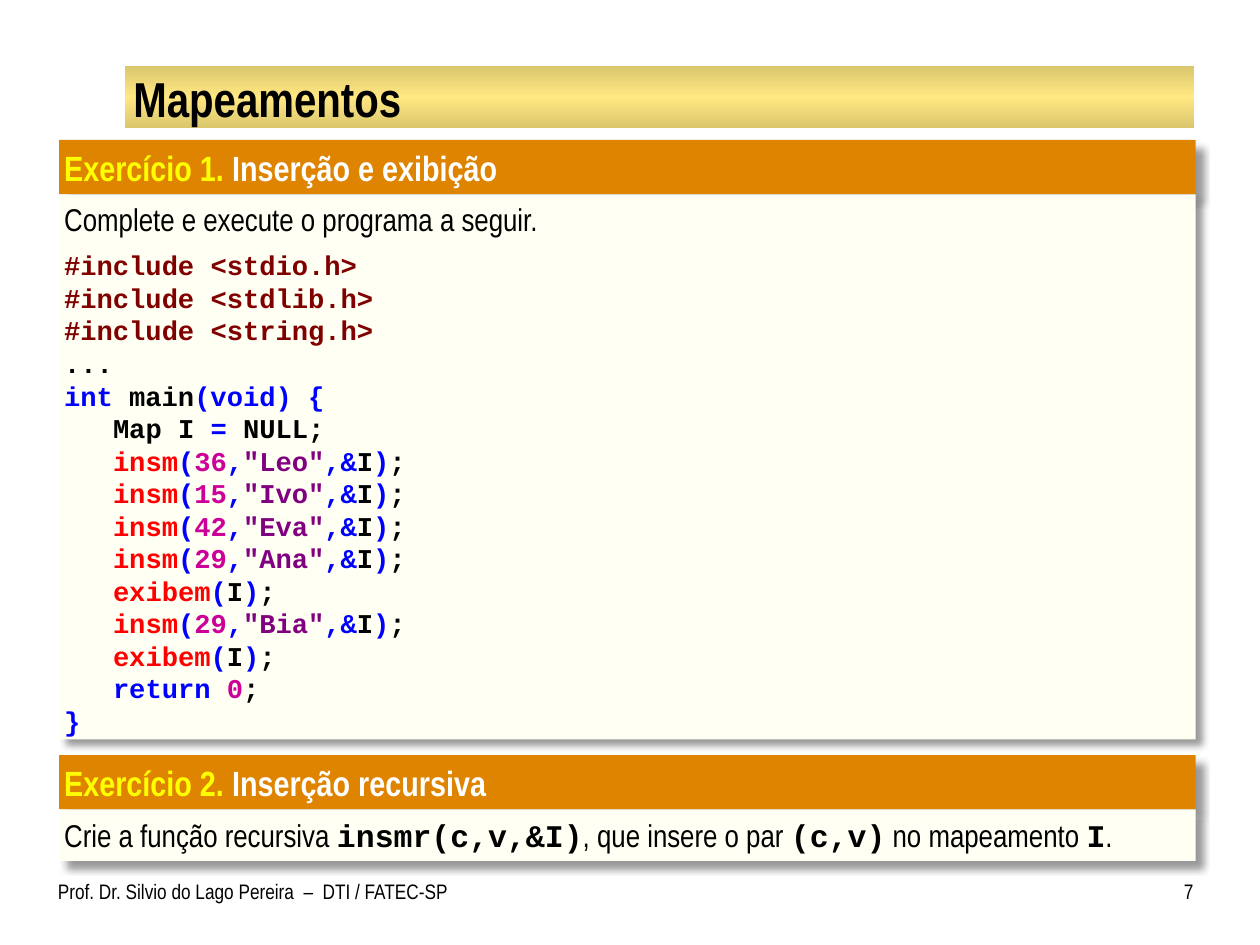
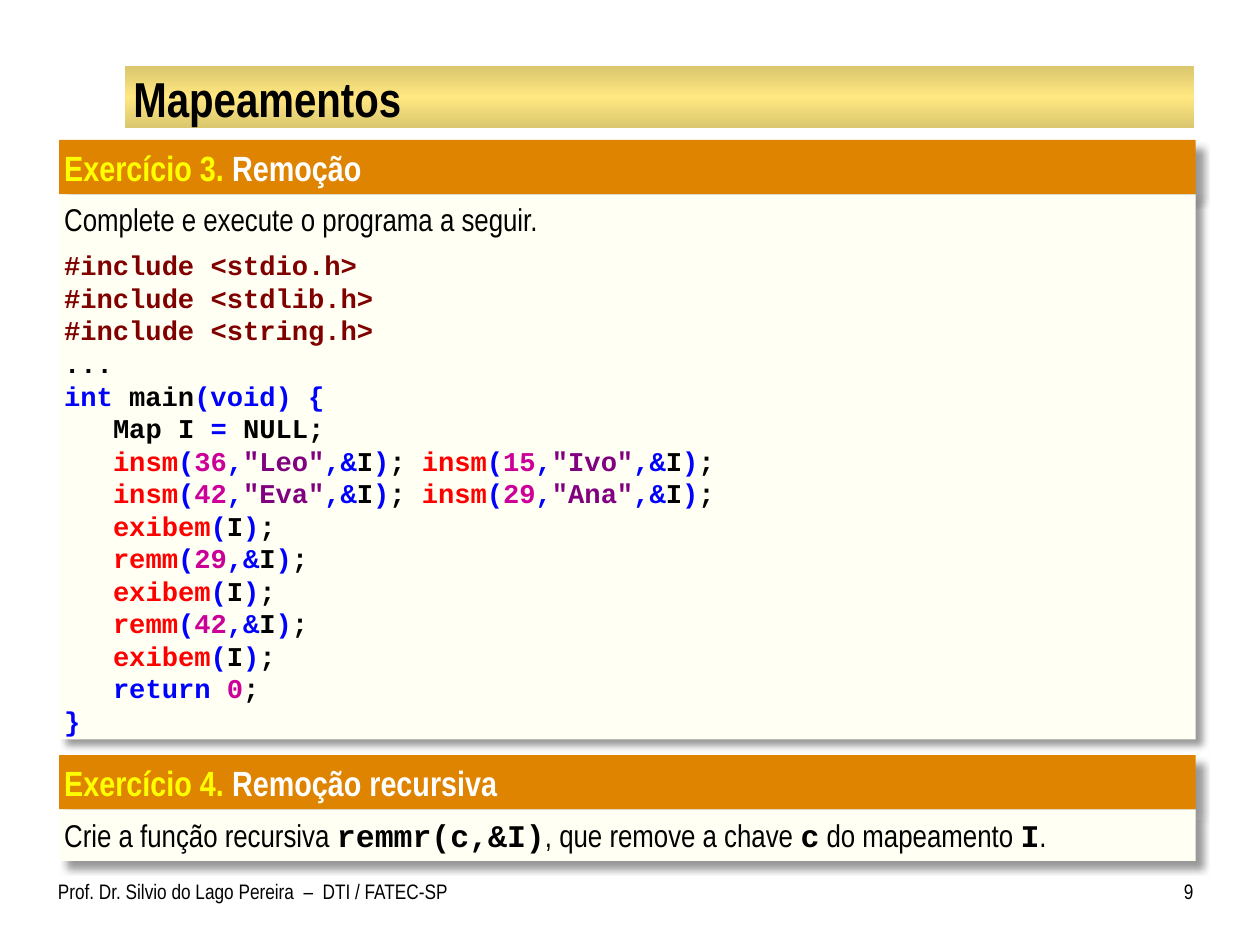
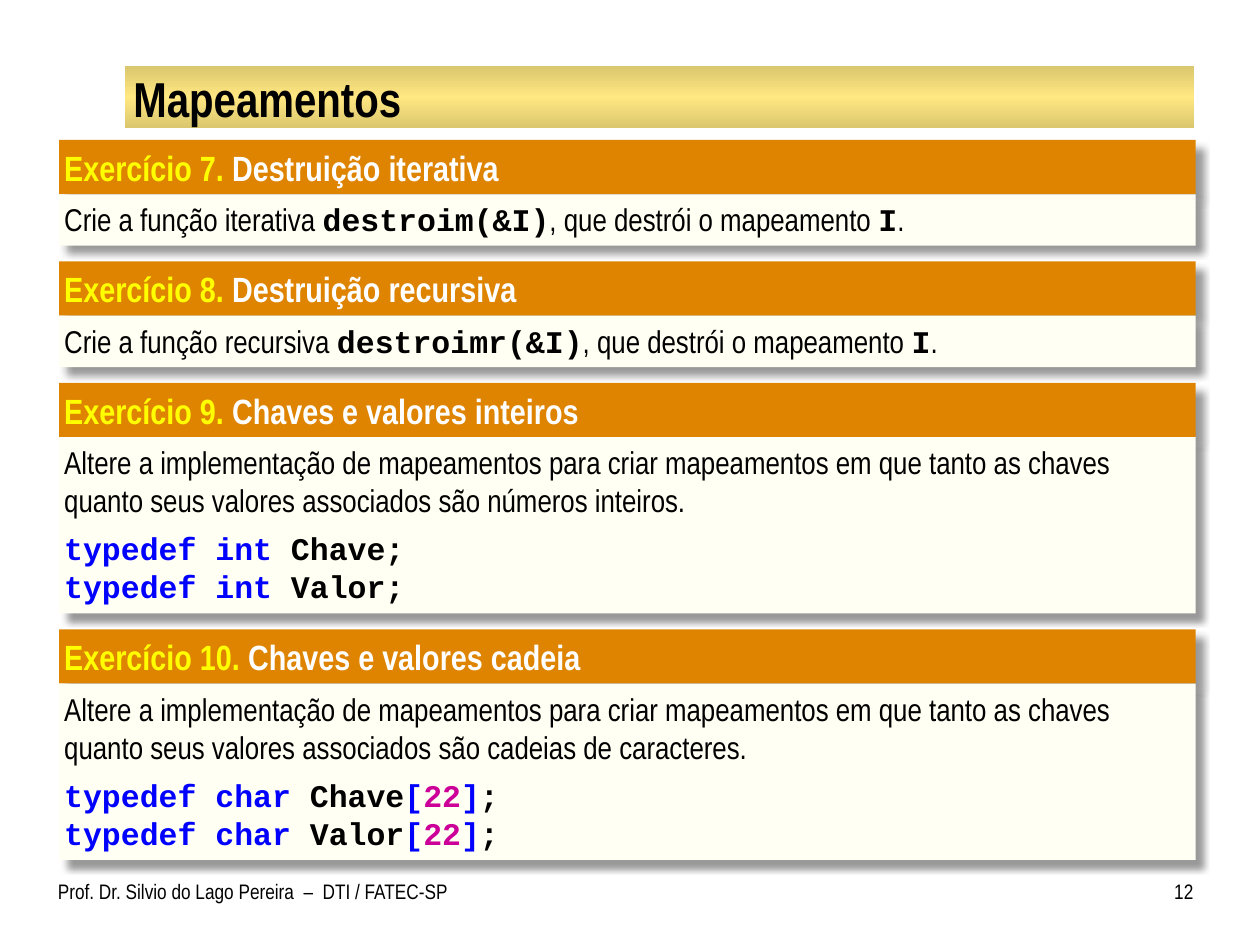
from itertools import groupby

from lxml.etree import SubElement
from pptx import Presentation
from pptx.dml.color import RGBColor
from pptx.enum.shapes import MSO_SHAPE as Shape
from pptx.enum.text import MSO_ANCHOR as Anchor, PP_ALIGN as Align
from pptx.oxml import parse_xml
from pptx.oxml.ns import nsdecls, qn
from pptx.util import Pt

COLORS = {
    "text": "000000",
    "band_edge": "DAC66E",
    "band_middle": "FFE781",
    "header": "DE8400",
    "body": "FFFFF3",
    "number": "FFFF00",
    "heading": "FFFFFF",
    "include": "800000",
    "keyword": "0000FF",
    "function": "FF0000",
    "digits": "CC0099",
    "string": "800080",
}
SANS = "Arial Narrow"
MONO = "Courier New"
KEYWORDS = {"int", "char", "void", "return", "typedef"}
FUNCTIONS = {"insm", "exibem", "remm"}
OPERATORS = "(){}[]=,&"

LEFT, TOP, WIDTH = 33.8, 80, 649.4
HEADER_HEIGHT, GAP = 31, 9
LINE_HEIGHT, TYPEDEF_HEIGHT, PROGRAM_HEIGHT = 29.4, 100.8, 311.5
PROSE_SIZE, PROGRAM_SIZE = 18, 15.5

RUN_PROGRAM = "Complete e execute o programa a seguir."
CHANGE_TYPES = (
    "Altere a implementação de mapeamentos para criar mapeamentos em que "
    "tanto as chaves quanto seus valores associados são "
)
PROGRAM_START = [
    "#include <stdio.h>",
    "#include <stdlib.h>",
    "#include <string.h>",
    "...",
    "int main(void) {",
    "   Map I = NULL;",
]
PROGRAM_END = ["   exibem(I);", "   return 0;", "}"]
INSERTION = PROGRAM_START + [
    '   insm(36,"Leo",&I);',
    '   insm(15,"Ivo",&I);',
    '   insm(42,"Eva",&I);',
    '   insm(29,"Ana",&I);',
    "   exibem(I);",
    '   insm(29,"Bia",&I);',
] + PROGRAM_END
REMOVAL = PROGRAM_START + [
    '   insm(36,"Leo",&I); insm(15,"Ivo",&I);',
    '   insm(42,"Eva",&I); insm(29,"Ana",&I);',
    "   exibem(I);",
    "   remm(29,&I);",
    "   exibem(I);",
    "   remm(42,&I);",
] + PROGRAM_END

SLIDES = [
    (7, [
        ("1", "Inserção e exibição", PROGRAM_HEIGHT, RUN_PROGRAM, INSERTION, PROGRAM_SIZE),
        ("2", "Inserção recursiva", LINE_HEIGHT,
         "Crie a função recursiva `insmr(c,v,&I)`, que insere o par `(c,v)` no mapeamento `I`."),
    ]),
    (9, [
        ("3", "Remoção", PROGRAM_HEIGHT, RUN_PROGRAM, REMOVAL, PROGRAM_SIZE),
        ("4", "Remoção recursiva", LINE_HEIGHT,
         "Crie a função recursiva `remmr(c,&I)`, que remove a chave `c` do mapeamento `I`."),
    ]),
    (12, [
        ("7", "Destruição iterativa", LINE_HEIGHT,
         "Crie a função iterativa `destroim(&I)`, que destrói o mapeamento `I`."),
        ("8", "Destruição recursiva", LINE_HEIGHT,
         "Crie a função recursiva `destroimr(&I)`, que destrói o mapeamento `I`."),
        ("9", "Chaves e valores inteiros", TYPEDEF_HEIGHT,
         CHANGE_TYPES + "números inteiros.",
         ["typedef int Chave;", "typedef int Valor;"]),
        ("10", "Chaves e valores cadeia", TYPEDEF_HEIGHT,
         CHANGE_TYPES + "cadeias de caracteres.",
         ["typedef char Chave[22];", "typedef char Valor[22];"]),
    ]),
]


def color(name):
    return RGBColor.from_string(COLORS[name])


def style(font, name, size, bold=False, tint="text"):
    font.name = name
    font.size = Pt(size)
    font.bold = bold
    font.color.rgb = color(tint)


def add_span(para, text, tint):
    span = para.add_run()
    span.text = text
    span.font.color.rgb = color(tint)


def set_frame(box, insets, anchor=Anchor.TOP):
    frame = box.text_frame
    frame.word_wrap = True
    frame.vertical_anchor = anchor
    frame.margin_left, frame.margin_top, frame.margin_right, frame.margin_bottom = map(Pt, insets)
    frame.paragraphs[0].alignment = Align.LEFT
    return frame


def add_rectangle(page, left, top, width, height):
    box = page.shapes.add_shape(Shape.RECTANGLE, Pt(left), Pt(top), Pt(width), Pt(height))
    box.shadow.inherit = False
    box.line.fill.background()
    return box


def add_band(page):
    band = add_rectangle(page, 71.3, 37.6, 611.3, 35.8)
    band.fill.gradient()
    band.fill.gradient_angle = 270
    stops = band._element.spPr.find(qn("a:gradFill")).find(qn("a:gsLst"))
    stops.clear()
    for position, name in ((0, "band_edge"), (50, "band_middle"), (100, "band_edge")):
        stop = SubElement(stops, qn("a:gs"), pos=str(position * 1000))
        SubElement(stop, qn("a:srgbClr"), val=COLORS[name])


def add_label(page, area, insets, text, size, bold=False, align=Align.LEFT, anchor=Anchor.TOP):
    box = page.shapes.add_textbox(*map(Pt, area))
    para = set_frame(box, insets, anchor).paragraphs[0]
    para.text = text
    para.alignment = align
    style(para.font, SANS, size, bold)


def add_panel(page, top, height, tint, right_inset):
    panel = add_rectangle(page, LEFT, top, WIDTH, height)
    panel.fill.solid()
    panel.fill.fore_color.rgb = color(tint)
    effects = panel._element.spPr.find(qn("a:effectLst"))
    effects.append(parse_xml(
        f'<a:outerShdw {nsdecls("a")} blurRad="{Pt(4)}" dist="{Pt(6)}" dir="2700000"'
        ' algn="tl" rotWithShape="0"><a:srgbClr val="000000">'
        '<a:alpha val="40000"/></a:srgbClr></a:outerShdw>'
    ))
    return set_frame(panel, (2.9, 3.6, right_inset, 3.6))


def word_tint(word):
    if word in KEYWORDS or word in OPERATORS:
        return "keyword"
    if word in FUNCTIONS:
        return "function"
    return "digits" if word.isdigit() else "text"


def tokens(line):
    if line.startswith("#"):
        yield line, "include"
        return
    for index, part in enumerate(line.split('"')):
        if index % 2:
            yield f'"{part}"', "string"
            continue
        for is_word, letters in groupby(part, str.isalnum):
            for word in ["".join(letters)] if is_word else letters:
                yield word, word_tint(word)


def add_code(frame, lines, size):
    for index, line in enumerate(lines):
        para = frame.add_paragraph()
        para.alignment = Align.LEFT
        para.space_before = Pt(0 if index else 6)
        style(para.font, MONO, size, True)
        code = line.lstrip()
        indent = (len(line) - len(code)) * size * 0.6
        if indent:
            para._p.get_or_add_pPr().set("marL", str(Pt(indent)))
        for tint, group in groupby(tokens(code), lambda token: token[1]):
            add_span(para, "".join(text for text, _ in group), tint)


def add_prose(para, text):
    style(para.font, SANS, PROSE_SIZE)
    for index, part in enumerate(text.split("`")):
        span = para.add_run()
        span.text = part
        if index % 2:
            span.font.name = MONO
            span.font.bold = True


def add_exercise(page, top, number, heading, height, prose, code=(), code_size=PROSE_SIZE):
    para = add_panel(page, top, HEADER_HEIGHT, "header", 7.2).paragraphs[0]
    style(para.font, SANS, 20, True)
    add_span(para, f"Exercício {number}.", "number")
    add_span(para, f" {heading}", "heading")
    body = add_panel(page, top + HEADER_HEIGHT, height, "body", 2.9)
    add_prose(body.paragraphs[0], prose)
    add_code(body, code, code_size)
    return top + HEADER_HEIGHT + height + GAP


def add_page(deck, number, exercises):
    page = deck.slides.add_slide(deck.slide_layouts[6])
    add_band(page)
    add_label(page, (72, 38.9, 609.8, 33.8), (4.3, 0.7, 4.3, 0.7), "Mapeamentos", 28,
              bold=True, anchor=Anchor.MIDDLE)
    top = TOP
    for exercise in exercises:
        top = add_exercise(page, top, *exercise)
    add_label(page, (33.1, 498.2, 235.4, 30.2), (0, 3.6, 7.2, 3.6),
              "Prof. Dr. Silvio do Lago Pereira  –  DTI / FATEC-SP", 12)
    add_label(page, (653.8, 498.2, 28.1, 30.2), (7.2, 3.6, 0, 3.6), str(number), 12,
              align=Align.RIGHT)


def main():
    deck = Presentation()
    deck.slide_width, deck.slide_height = Pt(720), Pt(540)
    for number, exercises in SLIDES:
        add_page(deck, number, exercises)
    deck.save("out.pptx")


if __name__ == "__main__":
    main()
